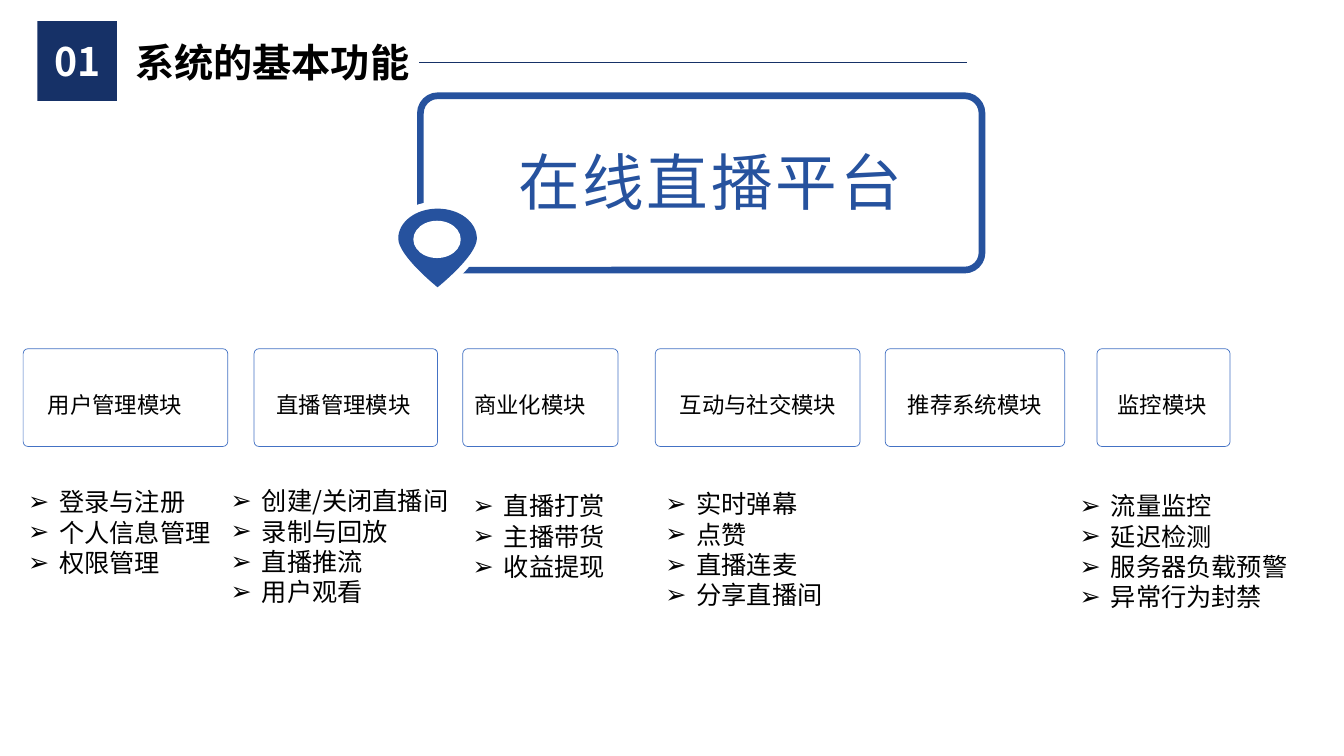
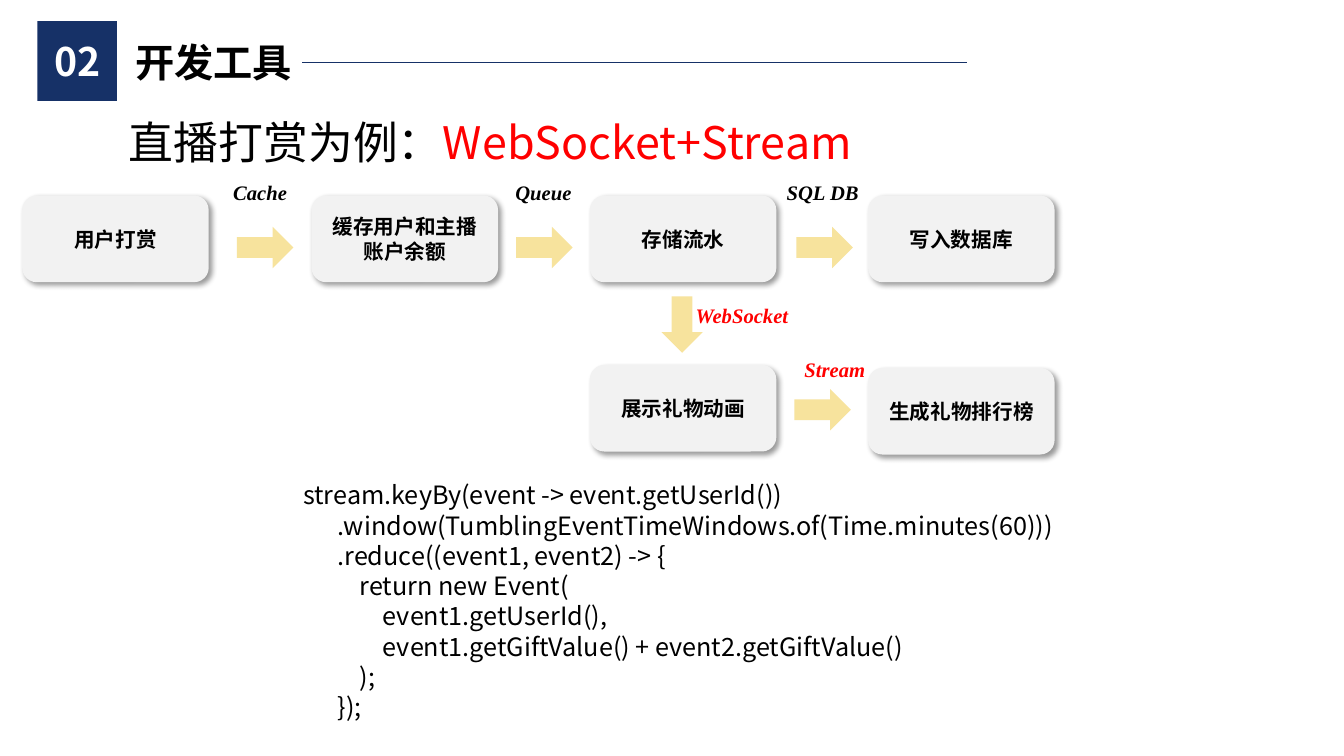
from lxml.etree import SubElement
from pptx import Presentation
from pptx.dml.color import RGBColor
from pptx.enum.shapes import MSO_CONNECTOR, MSO_SHAPE
from pptx.enum.text import MSO_ANCHOR, MSO_AUTO_SIZE, PP_ALIGN
from pptx.oxml.ns import qn
from pptx.util import Inches, Pt

SANS = "Noto Sans CJK SC"
SERIF = "Times New Roman"
NAVY, BLUE, CARD_LINE = "163167", "26529E", "4472C4"
WHITE, BLACK, RED = "FFFFFF", "000000", "FF0000"
CARD_GREY, ARROW_YELLOW = "F2F2F2", "F7E39D"

MODULES = [
    (0.23, 2.03, 0.23, "用户管理模块"),
    (2.52, 1.82, 0.21, "直播管理模块"),
    (4.59, 1.54, 0.1, "商业化模块"),
    (6.5, 2.03, 0.23, "互动与社交模块"),
    (8.78, 1.78, 0.21, "推荐系统模块"),
    (10.88, 1.32, 0.19, "监控模块"),
]
FEATURES = [
    (0.18, 4.78, 2.08, ["登录与注册", "个人信息管理", "权限管理"]),
    (2.19, 4.77, 2.45, ["创建/关闭直播间", "录制与回放", "直播推流", "用户观看"]),
    (4.59, 4.82, 2.08, ["直播打赏", "主播带货", "收益提现"]),
    (6.5, 4.8, 2.08, ["实时弹幕", "点赞", "直播连麦", "分享直播间"]),
    (10.61, 4.82, 2.3, ["流量监控", "延迟检测", "服务器负载预警", "异常行为封禁"]),
]
STEPS = [
    (0.22, 1.94, "用户打赏"),
    (3.09, 1.94, "缓存用户和主播账户余额"),
    (5.85, 1.94, "存储流水"),
    (8.61, 1.94, "写入数据库"),
    (5.85, 3.62, "展示礼物动画"),
    (8.61, 3.65, "生成礼物排行榜"),
]
ARROWS = [(2.35, 2.25), (5.12, 2.25), (7.9, 2.25), (7.88, 3.86)]
TOOLS = [
    (1.78, 1.74, "Cache", BLACK),
    (4.59, 1.74, "Queue", BLACK),
    (7.36, 1.74, "SQL DB", BLACK),
    (6.56, 2.96, "WebSocket", RED),
    (7.48, 3.49, "Stream", RED),
]
CODE = [
    (0, "stream.keyBy(event -> event.getUserId())"),
    (0.34, ".window(TumblingEventTimeWindows.of(Time.minutes(60)))"),
    (0.34, ".reduce((event1, event2) -> {"),
    (0.56, "return new Event("),
    (0.79, "event1.getUserId(),"),
    (0.79, "event1.getGiftValue() + event2.getGiftValue()"),
    (0.56, ");"),
    (0.34, "});"),
]


def rgb(colour):
    return RGBColor.from_string(colour)


def style(paragraph, size, colour=BLACK, font=SANS, bold=False, italic=False,
          align=PP_ALIGN.LEFT, spacing=None, tracking=None):
    paragraph.alignment = align
    if spacing:
        paragraph.line_spacing = spacing
    face = paragraph.font
    face.size, face.bold, face.italic, face.name = Pt(size), bold, italic, font
    face.color.rgb = rgb(colour)
    defaults = paragraph._p.get_or_add_pPr().find(qn("a:defRPr"))
    SubElement(defaults, qn("a:ea")).set("typeface", SANS)
    if tracking:
        defaults.set("spc", str(tracking * 100))


def indent(paragraph, left, bullet=None):
    properties = paragraph._p.get_or_add_pPr()
    properties.set("marL", str(Inches(left)))
    if bullet:
        properties.set("indent", str(-Inches(left)))
        SubElement(properties, qn("a:buFont")).set("typeface", "Arial")
        SubElement(properties, qn("a:buChar")).set("char", bullet)


def paint(shape, fill=None, line=None, width=0.5):
    shape.shadow.inherit = False
    if fill:
        shape.fill.solid()
        shape.fill.fore_color.rgb = rgb(fill)
    else:
        shape.fill.background()
    if line:
        shape.line.color.rgb = rgb(line)
        shape.line.width = Pt(width)
    else:
        shape.line.fill.background()
    return shape


def add_block(slide, kind, box, fill=None, line=None, width=0.5):
    shape = slide.shapes.add_shape(kind, *map(Inches, box))
    return paint(shape, fill, line, width)


def add_text(slide, box, lines):
    frame = slide.shapes.add_textbox(*map(Inches, box)).text_frame
    frame.word_wrap = True
    frame.text = "\n".join(lines)
    return frame.paragraphs


def add_header(prs, number, heading, rule_left):
    slide = prs.slides.add_slide(prs.slide_layouts[5])
    badge = add_block(slide, MSO_SHAPE.RECTANGLE, (0.37, 0.21, 0.79, 0.79), NAVY)
    badge.text_frame.text = number
    style(badge.text_frame.paragraphs[0], 28, WHITE, bold=True, align=PP_ALIGN.CENTER)

    title = slide.shapes.title
    title.left, title.top = Inches(1.24), Inches(0.33)
    title.width, title.height = Inches(rule_left - 1.24), Inches(0.57)
    frame = title.text_frame
    frame.text = heading
    frame.word_wrap = False
    frame.auto_size = MSO_AUTO_SIZE.NONE
    frame.vertical_anchor = MSO_ANCHOR.MIDDLE
    style(frame.paragraphs[0], 28, bold=True)

    rule = slide.shapes.add_connector(
        MSO_CONNECTOR.STRAIGHT, Inches(rule_left), Inches(0.62), Inches(9.59), Inches(0.62))
    rule.line.color.rgb = rgb(NAVY)
    rule.line.width = Pt(0.5)
    SubElement(rule._element.spPr, qn("a:effectLst"))
    return slide


def bezier(points, steps=16):
    for i in range(1, steps + 1):
        t = i / steps
        weights = ((1 - t) ** 3, 3 * t * (1 - t) ** 2, 3 * t * t * (1 - t), t ** 3)
        yield tuple(sum(w * p[axis] for w, p in zip(weights, points)) for axis in (0, 1))


def add_pin(slide, box, fill):
    left, top, width, height = box
    right_side = [
        *bezier([(0.5, 0), (0.78, 0), (1, 0.17), (1, 0.38)]),
        *bezier([(1, 0.38), (1, 0.6), (0.5, 1), (0.5, 1)]),
    ]
    left_side = [(1 - x, y) for x, y in reversed(right_side[:-1])]
    outline = [(Inches(left + x * width), Inches(top + y * height))
               for x, y in right_side + left_side]
    builder = slide.shapes.build_freeform(Inches(left + width / 2), Inches(top))
    builder.add_line_segments(outline, close=True)
    paint(builder.convert_to_shape(), fill)


def add_platform_sign(slide, box):
    left, top, width, height = box
    frame = add_block(slide, MSO_SHAPE.ROUNDED_RECTANGLE, box, line=BLUE, width=4.75)
    frame.adjustments[0] = 0.1
    add_pin(slide, (left - 0.31, top + 1.05, 0.95, 0.95), WHITE)
    add_pin(slide, (left - 0.22, top + 1.12, 0.78, 0.78), BLUE)
    add_block(slide, MSO_SHAPE.OVAL, (left - 0.07, top + 1.24, 0.47, 0.37), WHITE)
    name = add_text(slide, (left + 0.87, top + 0.21, width - 0.92, height - 0.43), ["在线直播平台"])
    style(name[0], 44, BLUE, spacing=1.3, tracking=2)


def add_module(slide, box, inset, name):
    card = add_block(slide, MSO_SHAPE.ROUNDED_RECTANGLE, box, line=CARD_LINE)
    card.adjustments[0] = 0.05
    frame = card.text_frame
    frame.margin_left, frame.margin_right = Inches(inset), 0
    frame.text = name
    style(frame.paragraphs[0], 16, spacing=1.5)


def add_features(slide, box, items):
    for paragraph in add_text(slide, box, items):
        indent(paragraph, 0.31, "➢")
        style(paragraph, 18)


def add_step(slide, box, name):
    card = add_block(slide, MSO_SHAPE.ROUNDED_RECTANGLE, box, CARD_GREY)
    effects = card._element.spPr.find(qn("a:effectLst"))
    shadow = SubElement(effects, qn("a:outerShdw"), blurRad=str(Pt(4)), dist=str(Pt(3)),
                        dir="2700000", algn="tl", rotWithShape="0")
    tint = SubElement(shadow, qn("a:srgbClr"), val=BLACK)
    SubElement(tint, qn("a:alpha"), val="40000")
    card.text_frame.text = name
    style(card.text_frame.paragraphs[0], 14.7, font=SERIF, bold=True, align=PP_ALIGN.CENTER)


def add_code(slide, box):
    paragraphs = add_text(slide, box, [line for _, line in CODE])
    for paragraph, (depth, _) in zip(paragraphs, CODE):
        indent(paragraph, depth)
        style(paragraph, 18)


def build_functions(prs):
    slide = add_header(prs, "01", "系统的基本功能", 4.16)
    add_platform_sign(slide, (4.17, 0.95, 5.57, 1.73))
    for left, width, inset, name in MODULES:
        add_module(slide, (left, 3.46, width, 0.97), inset, name)
    for left, top, width, items in FEATURES:
        add_features(slide, (left, top, width, 0.1 + 0.3 * len(items)), items)


def build_tools(prs):
    slide = add_header(prs, "02", "开发工具", 3)
    example = add_text(slide, (1.18, 1.09, 9.91, 0.64), ["直播打赏为例："])[0]
    style(example, 32)
    stack = example.add_run()
    stack.text = "WebSocket+Stream"
    stack.font.color.rgb = rgb(RED)
    for left, top, name in STEPS:
        add_step(slide, (left, top, 1.85, 0.86), name)
    for left, top in ARROWS:
        add_block(slide, MSO_SHAPE.RIGHT_ARROW, (left, top, 0.56, 0.41), ARROW_YELLOW)
    add_block(slide, MSO_SHAPE.DOWN_ARROW, (6.56, 2.94, 0.41, 0.56), ARROW_YELLOW)
    for left, top, name, colour in TOOLS:
        label = add_text(slide, (left, top, 1.6, 0.35), [name])[0]
        style(label, 14.7, colour, SERIF, bold=True, italic=True, align=PP_ALIGN.CENTER)
    add_code(slide, (2.91, 4.71, 8.17, 2.52))


def main():
    prs = Presentation()
    prs.slide_width, prs.slide_height = Inches(13.33), Inches(7.5)
    build_functions(prs)
    build_tools(prs)
    prs.save("out.pptx")


if __name__ == "__main__":
    main()
